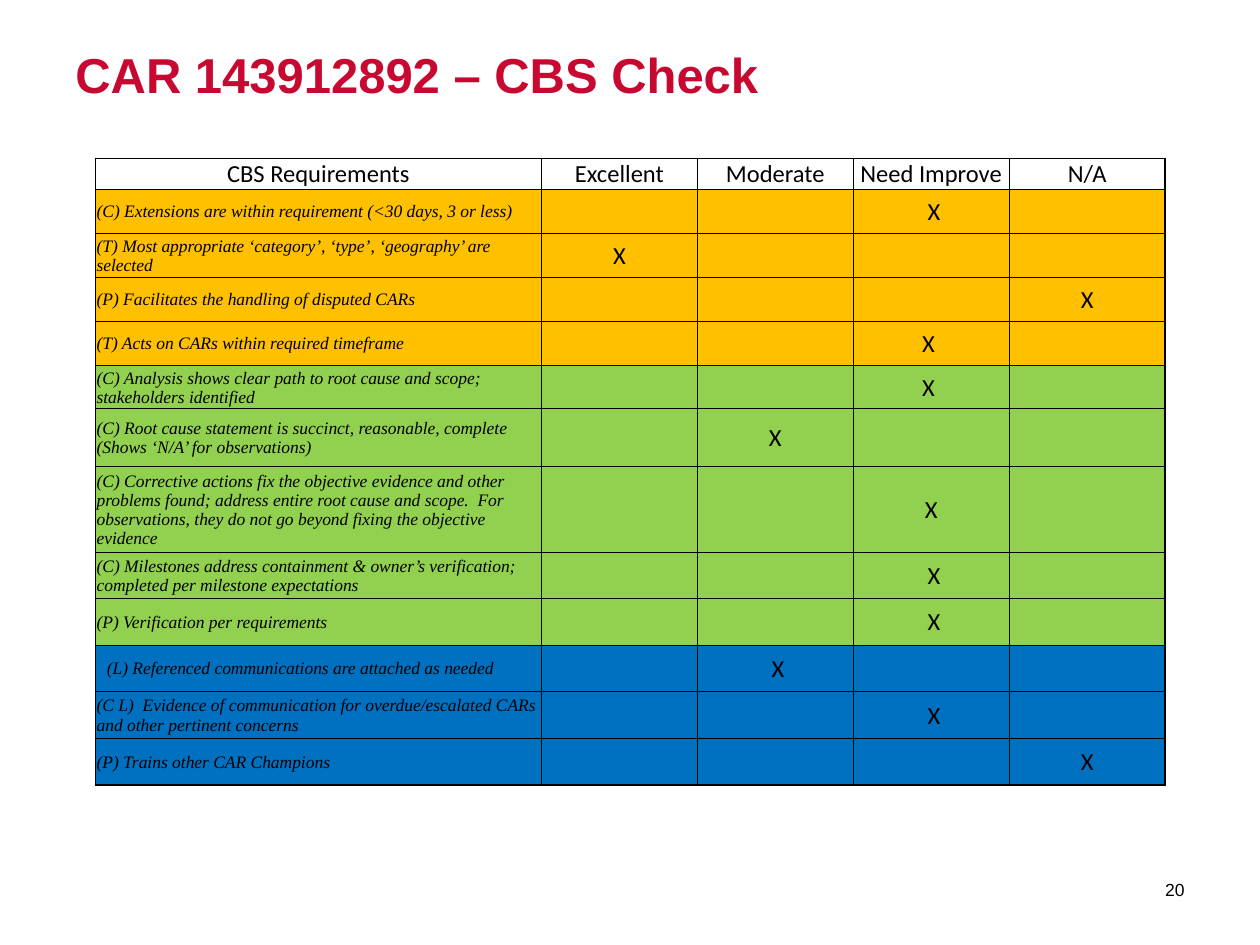
"""Build the CBS check slide: a table rating one CAR against twelve requirements."""
import lxml.etree
import pptx
import pptx.dml.color
import pptx.enum.text
import pptx.oxml.ns
import pptx.util

Pt = pptx.util.Pt
ALIGN = pptx.enum.text.PP_ALIGN
ANCHOR = pptx.enum.text.MSO_ANCHOR

COLORS = {
    "title": "C70932",
    "black": "000000",
    "orange": "FFC000",
    "green": "92D050",
    "blue": "0070C0",
}
TITLE = "CAR 143912892 – CBS Check"
PAGE = "20"
HEADINGS = ["CBS Requirements", "Excellent", "Moderate", "Need Improve", "N/A"]
REQUIREMENTS = [
    ("orange", 25.2, "(C) Extensions are within requirement (<30 days, 3 or less)", "Need Improve", " X"),
    ("orange", 25.2, "(T) Most appropriate ‘category’, ‘type’, ‘geography’ are selected", "Excellent", "X"),
    ("orange", 25.2, "(P) Facilitates the handling of disputed CARs", "N/A", "X"),
    ("orange", 25.2, "(T) Acts on CARs within required timeframe", "Need Improve", "X "),
    ("green", 23.8, "(C) Analysis shows clear path to root cause and scope; stakeholders identified",
     "Need Improve", "X "),
    ("green", 33.1, "(C) Root cause statement is succinct, reasonable, complete (Shows ‘N/A’ for observations)",
     "Moderate", "X"),
    ("green", 36, "(C) Corrective actions fix the objective evidence and other problems found; address entire "
     "root cause and scope.  For observations, they do not go beyond fixing the objective evidence",
     "Need Improve", "X"),
    ("green", 26.6, "(C) Milestones address containment & owner’s verification; completed per milestone expectations",
     "Need Improve", " X"),
    ("green", 26.6, "(P) Verification per requirements", "Need Improve", " X"),
    ("blue", 26.6, "(L) Referenced communications are attached as needed", "Moderate", " X"),
    ("blue", 26.6, "(C L)  Evidence of communication for overdue/escalated CARs and other pertinent concerns",
     "Need Improve", " X"),
    ("blue", 26.6, "(P) Trains other CAR Champions", "N/A", "X"),
]
INDENTED = "(L)"
HEADER_HEIGHT = 15.1
COLUMN_WIDTHS = [254.9] + [89.1] * 4
TABLE_LEFT, TABLE_TOP = 54.5, 90.5
INSET, INDENT = 0.72, 6.5


def rgb(name):
    return pptx.dml.color.RGBColor.from_string(COLORS[name])


def add_text(frame, text, font, size, color="black", align=ALIGN.LEFT, bold=False, italic=False):
    paragraph = frame.paragraphs[0]
    paragraph.alignment = align
    run = paragraph.add_run()
    run.text = text
    run.font.name, run.font.size = font, Pt(size)
    run.font.bold, run.font.italic = bold, italic
    run.font.color.rgb = rgb(color)


def add_label(slide, box, anchor, *text, **style):
    frame = slide.shapes.add_textbox(*map(Pt, box)).text_frame
    frame.word_wrap = True
    frame.vertical_anchor = anchor
    add_text(frame, *text, **style)


def set_borders(cell, outer):
    properties = cell._tc.get_or_add_tcPr()
    for side in "LRTB":
        line = lxml.etree.SubElement(properties, pptx.oxml.ns.qn("a:ln" + side))
        line.set("w", str(Pt(1 if side in outer else 0.5)))
        fill = lxml.etree.SubElement(line, pptx.oxml.ns.qn("a:solidFill"))
        lxml.etree.SubElement(fill, pptx.oxml.ns.qn("a:srgbClr")).set("val", COLORS["black"])


def format_cell(cell, outer, fill, anchor):
    set_borders(cell, outer)
    if fill:
        cell.fill.solid()
        cell.fill.fore_color.rgb = rgb(fill)
    else:
        cell.fill.background()
    cell.vertical_anchor = anchor
    cell.margin_left = cell.margin_right = cell.margin_top = Pt(INSET)
    cell.margin_bottom = 0


def fill_blank(cell):
    end = lxml.etree.SubElement(cell.text_frame.paragraphs[0]._p, pptx.oxml.ns.qn("a:endParaRPr"))
    end.set("sz", "1400")


def add_ratings(slide):
    heights = [HEADER_HEIGHT] + [height for _, height, *_ in REQUIREMENTS]
    box = (TABLE_LEFT, TABLE_TOP, sum(COLUMN_WIDTHS), sum(heights))
    table = slide.shapes.add_table(len(heights), len(HEADINGS), *map(Pt, box)).table
    table.first_row = table.horz_banding = False
    for column, width in zip(table.columns, COLUMN_WIDTHS):
        column.width = Pt(width)
    for row, height in zip(table.rows, heights):
        row.height = Pt(height)

    last_row, last_column = len(heights) - 1, len(HEADINGS) - 1
    for r in range(len(heights)):
        for c, heading in enumerate(HEADINGS):
            cell = table.cell(r, c)
            edges = {"L": c == 0, "R": c == last_column, "T": r == 0, "B": r == last_row}
            outer = [side for side, is_outer in edges.items() if is_outer]
            if r == 0:
                format_cell(cell, outer, None, ANCHOR.BOTTOM)
                add_text(cell.text_frame, heading, "Calibri", 14, align=ALIGN.CENTER)
                continue
            group, _, requirement, rating, mark = REQUIREMENTS[r - 1]
            format_cell(cell, outer, group, ANCHOR.MIDDLE)
            if c == 0:
                add_text(cell.text_frame, requirement, "Times New Roman", 10, italic=True)
                if requirement.startswith(INDENTED):
                    cell.margin_left = Pt(INDENT)
            elif heading == rating:
                add_text(cell.text_frame, mark, "Calibri", 14, align=ALIGN.CENTER)
            else:
                fill_blank(cell)


def main():
    deck = pptx.Presentation()
    deck.slide_width, deck.slide_height = Pt(720), Pt(540)
    slide = deck.slides.add_slide(deck.slide_layouts[6])
    add_label(slide, (36, 21.6, 648, 90), ANCHOR.TOP, TITLE, "Arial", 28, "title", bold=True)
    add_label(slide, (633.6, 494, 50.4, 28.8), ANCHOR.MIDDLE, PAGE, "Arial", 10, align=ALIGN.RIGHT)
    add_ratings(slide)
    deck.save("out.pptx")


if __name__ == "__main__":
    main()
